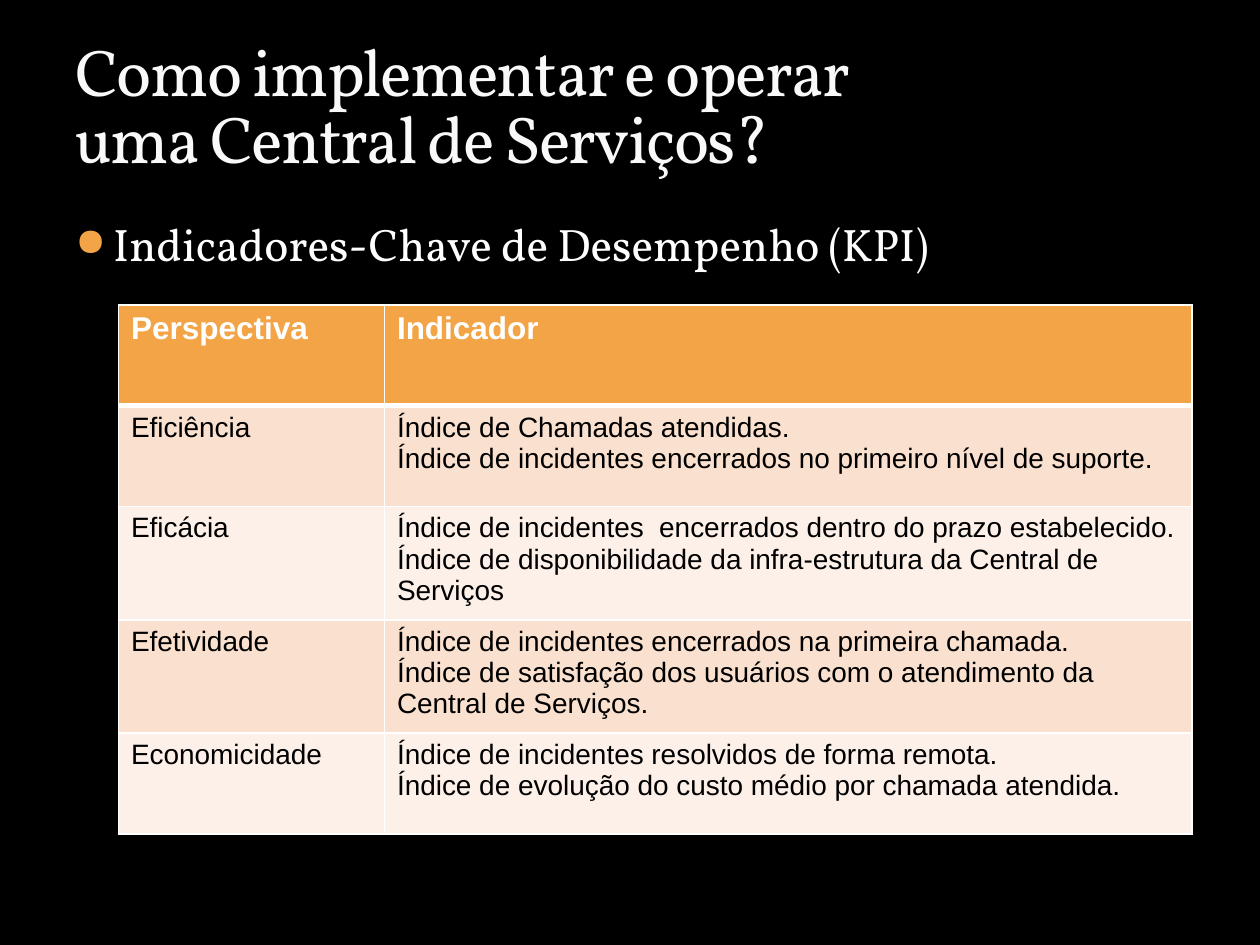
import pptx
import pptx.util
import pptx.dml.color
import pptx.enum.text
from lxml import etree

Pt = pptx.util.Pt
NS = "http://schemas.openxmlformats.org/drawingml/2006/main"

TITLE = "Como implementar e operar\vuma Central de Serviços?"
TOPIC = "Indicadores-Chave de Desempenho (KPI)"
ROWS = [
    ("Perspectiva", "Indicador"),
    ("Eficiência", "Índice de Chamadas atendidas.\n"
     "Índice de incidentes encerrados no primeiro nível de suporte."),
    ("Eficácia", "Índice de incidentes  encerrados dentro do prazo estabelecido.\n"
     "Índice de disponibilidade da infra-estrutura da Central de Serviços"),
    ("Efetividade", "Índice de incidentes encerrados na primeira chamada.\n"
     "Índice de satisfação dos usuários com o atendimento da Central de Serviços."),
    ("Economicidade", "Índice de incidentes resolvidos de forma remota.\n"
     "Índice de evolução do custo médio por chamada atendida."),
]
WIDTHS = (152, 461.5)
HEIGHT = 57.6
HEAD_FILL = "F3A447"
BANDS = ("FAE0CF", "FDF0E9")
LINE = "FFFFFF"

HEAD = dict(name="Arial", size=Pt(18), bold=True, color="FFFFFF")
CELL = dict(name="Arial", size=Pt(16), bold=False, color="000000")
BIG = dict(name="Vollkorn", size=Pt(37.8), color="F9F9F9")
MID = dict(name="Vollkorn", size=Pt(26), color="FFFFFF")


def rgb(code):
    return pptx.dml.color.RGBColor.from_string(code)


def paint(fill, code):
    fill.solid()
    fill.fore_color.rgb = rgb(code)


def style(frame, form):
    for para in frame.paragraphs:
        for run in para.runs:
            for key, value in form.items():
                if key == "color":
                    run.font.color.rgb = rgb(value)
                else:
                    setattr(run.font, key, value)


def add(root, tag, **attrs):
    return etree.SubElement(root, f"{{{NS}}}{tag}", attrs)


def label(slide, box, text, form, **frame_form):
    frame = slide.shapes.add_textbox(*map(Pt, box)).text_frame
    frame.word_wrap = True
    for key, value in frame_form.items():
        setattr(frame, key, value)
    frame.text = text
    style(frame, form)
    return frame.paragraphs[0]


def border(cell, sides):
    props = cell._tc.get_or_add_tcPr()
    for spot, (side, width) in enumerate(sides.items()):
        line = add(props, side, w=str(Pt(width)))
        add(add(line, "solidFill"), "srgbClr", val=LINE)
        props.insert(spot, line)


def grid(slide):
    frame = slide.shapes.add_table(len(ROWS), len(WIDTHS), Pt(67.7), Pt(174.2),
                                   Pt(sum(WIDTHS)), Pt(HEIGHT * len(ROWS)))
    table = frame.table
    for col, width in zip(table.columns, WIDTHS):
        col.width = Pt(width)
    for r, texts in enumerate(ROWS):
        table.rows[r].height = Pt(HEIGHT)
        for c, text in enumerate(texts):
            cell = table.cell(r, c)
            cell.text = text
            style(cell.text_frame, CELL if r else HEAD)
            paint(cell.fill, BANDS[(r - 1) % 2] if r else HEAD_FILL)
            border(cell, dict(lnL=1, lnR=1, lnT=3 if r == 1 else 1,
                              lnB=1 if r else 3))


def main():
    deck = pptx.Presentation()
    deck.slide_width, deck.slide_height = Pt(720), Pt(540)
    slide = deck.slides.add_slide(deck.slide_layouts[6])
    paint(slide.background.fill, "000000")

    topic = label(slide, (36, 120.2, 648, 360), TOPIC, MID)
    topic.space_before = Pt(6)
    props = topic._p.get_or_add_pPr()
    props.set("marL", str(Pt(21.6)))
    props.set("indent", str(Pt(-21.6)))
    add(add(props, "buClr"), "srgbClr", val=HEAD_FILL)
    add(props, "buSzPct", val="85000")
    add(props, "buChar", char="●")

    title = label(slide, (36, 12.2, 648, 96), TITLE, BIG, margin_top=Pt(12),
                  vertical_anchor=pptx.enum.text.MSO_ANCHOR.TOP)
    title.line_spacing = 0.85
    for run in title.runs:
        run.font._element.set("spc", "-100")

    grid(slide)
    deck.save("out.pptx")


if __name__ == "__main__":
    main()
